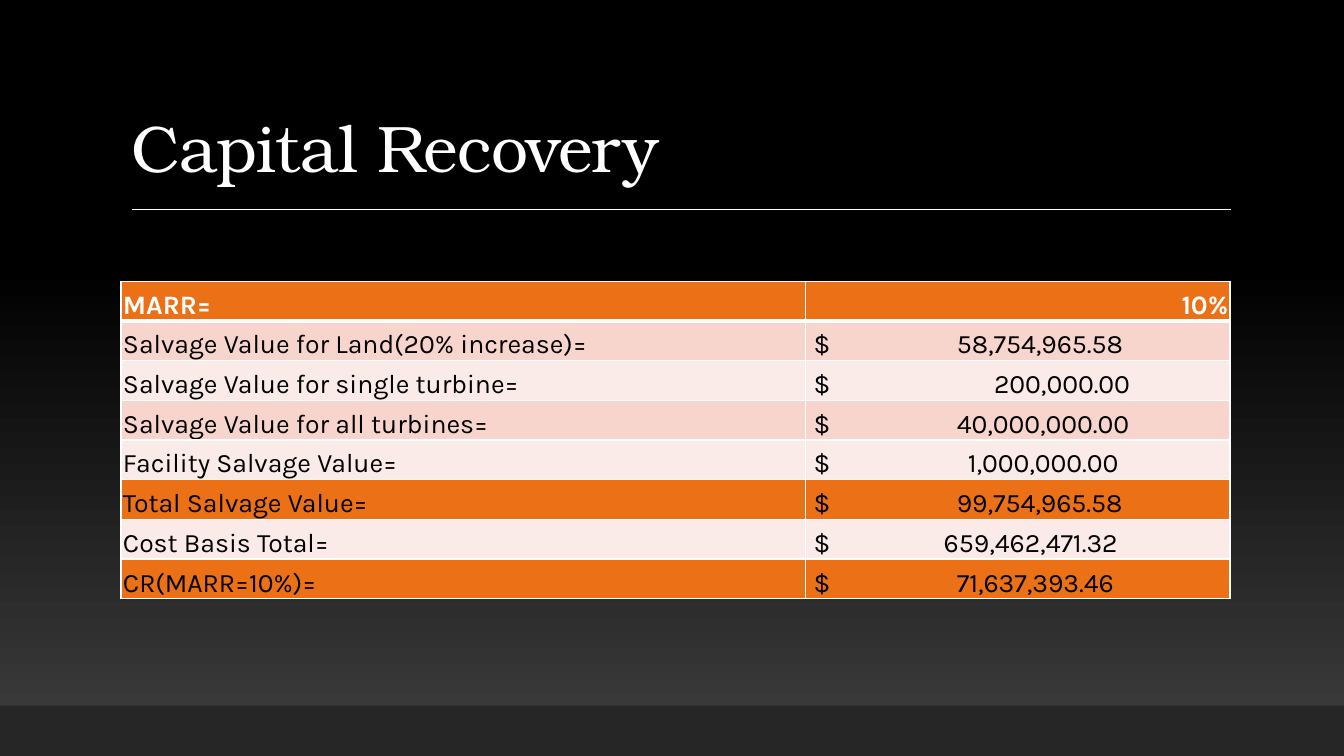
from lxml import etree
from pptx import Presentation
from pptx.dml.color import RGBColor
from pptx.enum.shapes import MSO_CONNECTOR, MSO_SHAPE
from pptx.enum.text import MSO_ANCHOR, MSO_AUTO_SIZE, PP_ALIGN
from pptx.oxml.ns import qn
from pptx.util import Inches, Pt

STRAIGHT = MSO_CONNECTOR.STRAIGHT
RECTANGLE = MSO_SHAPE.RECTANGLE
BOTTOM = MSO_ANCHOR.BOTTOM
LEFT, RIGHT = PP_ALIGN.LEFT, PP_ALIGN.RIGHT
NO_FIT = MSO_AUTO_SIZE.NONE

TITLE = "Capital Recovery"
HEADER = ("MARR=", "10%")
ROWS = [
    ("Salvage Value for Land(20% increase)=", "58,754,965.58", 1.42, "rose"),
    ("Salvage Value for single turbine=", "200,000.00", 1.79, "blush"),
    ("Salvage Value for all turbines=", "40,000,000.00", 1.42, "rose"),
    ("Facility Salvage Value=", "1,000,000.00", 1.53, "blush"),
    ("Total Salvage Value=", "99,754,965.58", 1.42, "orange"),
    ("Cost Basis Total=", "659,462,471.32", 1.29, "blush"),
    ("CR(MARR=10%)=", "71,637,393.46", 1.42, "orange"),
]
COLORS = {
    "white": "FFFFFF", "black": "000000", "smoke": "3F3F3F", "band": "262626",
    "orange": "EC7016", "rose": "F8D5CC", "blush": "FBEBE8",
}
TITLE_FONT, TABLE_FONT = "TeX Gyre Bonum", "Karla"
PAGE_WIDTH, PAGE_HEIGHT = 13.33, 7.5
BAND_HEIGHT = 0.5
TABLE_LEFT, TABLE_TOP, TABLE_HEIGHT = 1.2, 2.79, 3.15
COLUMN_WIDTHS = (6.79, 4.21)
CELL_INSET, DOLLAR_INSET = 0.02, 0.08


def color(name):
    return RGBColor.from_string(COLORS[name])


def paint_gradient(fill):
    fill.gradient()
    fill.gradient_angle = 90
    for stop, (position, name) in zip(fill.gradient_stops, ((0, "smoke"), (0.65, "black"))):
        stop.position = position
        stop.color.rgb = color(name)


def add_rectangle(page, top, height):
    box = page.shapes.add_shape(
        RECTANGLE, 0, Inches(top), Inches(PAGE_WIDTH), Inches(height))
    box.shadow.inherit = False
    box.line.fill.background()
    return box


def add_span(para, text, font, size, color_name, bold=False):
    span = para.add_run()
    span.text = text
    span.font.name = font
    span.font.size = Pt(size)
    span.font.bold = bold
    span.font.color.rgb = color(color_name)
    return span


def set_borders(cell, top_width, bottom_width):
    properties = cell._tc.get_or_add_tcPr()
    sides = (("lnL", 1), ("lnR", 1), ("lnT", top_width), ("lnB", bottom_width))
    for index, (side, width) in enumerate(sides):
        line = etree.Element(qn("a:" + side), w=str(Pt(width)))
        fill = etree.SubElement(line, qn("a:solidFill"))
        etree.SubElement(fill, qn("a:srgbClr"), val=COLORS["white"])
        properties.insert(index, line)


def add_tab(para, position):
    tabs = etree.SubElement(para._p.get_or_add_pPr(), qn("a:tabLst"))
    etree.SubElement(tabs, qn("a:tab"), pos=str(Inches(position)), algn="l")


def fill_cell(cell, text, fill_name, row, align=LEFT, inset=CELL_INSET, tab=None):
    header = row == 0
    cell.fill.solid()
    cell.fill.fore_color.rgb = color(fill_name)
    cell.vertical_anchor = BOTTOM
    cell.margin_left = Inches(inset)
    cell.margin_right = cell.margin_top = Inches(CELL_INSET)
    cell.margin_bottom = 0
    set_borders(cell, 3 if row == 1 else 1, 3 if header else 1)
    para = cell.text_frame.paragraphs[0]
    para.alignment = align
    if tab is not None:
        add_tab(para, tab)
    add_span(para, text, TABLE_FONT, 19, "white" if header else "black", header)


def add_title(page):
    title = page.shapes.title
    title.left, title.top = Inches(1.2), Inches(0.31)
    title.width, title.height = Inches(11), Inches(1.59)
    frame = title.text_frame
    frame.word_wrap = True
    frame.auto_size = NO_FIT
    frame.vertical_anchor = BOTTOM
    para = frame.paragraphs[0]
    para.alignment = LEFT
    para.line_spacing = 0.9
    span = add_span(para, TITLE, TITLE_FONT, 47, "white")
    span.font._element.set("spc", "-50")


def add_rule(page):
    rule = page.shapes.add_connector(
        STRAIGHT, Inches(1.31), Inches(2.08), Inches(12.21), Inches(2.08))
    rule.line.color.rgb = color("white")
    rule.line.width = Pt(1)
    etree.SubElement(rule.element.spPr, qn("a:effectLst"))


def add_recovery_table(page):
    count = len(ROWS) + 1
    table = page.shapes.add_table(
        count, 2, Inches(TABLE_LEFT), Inches(TABLE_TOP),
        Inches(sum(COLUMN_WIDTHS)), Inches(TABLE_HEIGHT)).table
    for column, width in zip(table.columns, COLUMN_WIDTHS):
        column.width = Inches(width)
    for table_row in table.rows:
        table_row.height = Inches(TABLE_HEIGHT / count)
    fill_cell(table.cell(0, 0), HEADER[0], "orange", 0)
    fill_cell(table.cell(0, 1), HEADER[1], "orange", 0, RIGHT)
    for row, (label, amount, tab, fill_name) in enumerate(ROWS, 1):
        fill_cell(table.cell(row, 0), label, fill_name, row)
        fill_cell(table.cell(row, 1), "$\t" + amount, fill_name, row,
                  inset=DOLLAR_INSET, tab=tab)


def main():
    deck = Presentation()
    deck.slide_width, deck.slide_height = Inches(PAGE_WIDTH), Inches(PAGE_HEIGHT)
    page = deck.slides.add_slide(deck.slide_layouts[5])
    paint_gradient(page.background.fill)
    backdrop = add_rectangle(page, 0, PAGE_HEIGHT)
    paint_gradient(backdrop.fill)
    page.shapes.title.element.addprevious(backdrop.element)
    add_title(page)
    add_rule(page)
    band = add_rectangle(page, PAGE_HEIGHT - BAND_HEIGHT, BAND_HEIGHT)
    band.fill.solid()
    band.fill.fore_color.rgb = color("band")
    add_recovery_table(page)
    deck.save("out.pptx")


if __name__ == "__main__":
    main()
